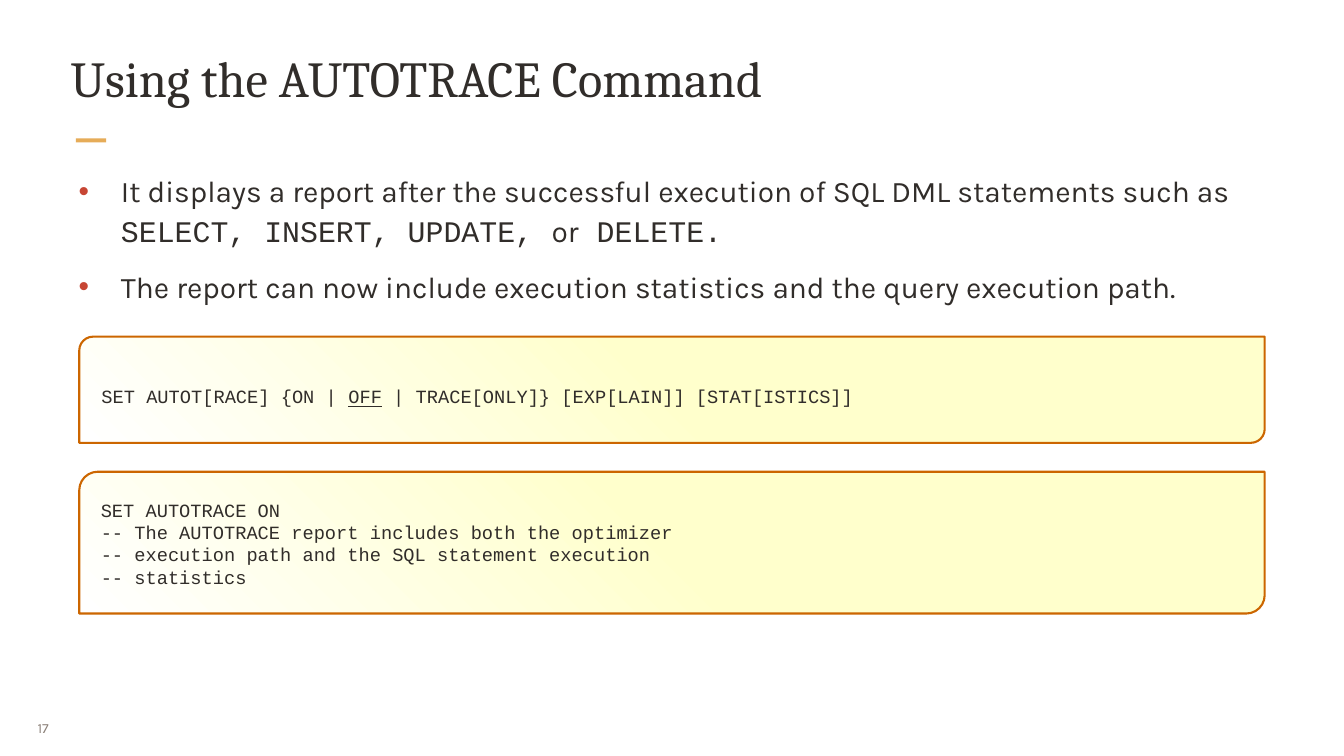
from lxml import etree
from pptx import Presentation
from pptx import util as u
from pptx.dml.color import RGBColor
from pptx.enum import shapes, text
from pptx.oxml import ns

COLORS = {
    "ink": "312D2A", "accent": "E6AC58", "bullet": "C74634", "muted": "8B8078",
    "code_line": "CC6600", "code_fill": "FFFFCC", "white": "FFFFFF",
}
SERIF, SANS, MONO = "Cambria", "Karla", "Courier New"


def rgb(name):
    """Return the named colour."""
    return RGBColor.from_string(COLORS[name])


def add_element(parent, tag, **attributes):
    """Append a drawing element and return it."""
    return etree.SubElement(parent, ns.qn(tag), attributes)


def add_text_box(slide, box, inset, anchor=text.MSO_ANCHOR.TOP):
    """Add an empty wrapping text box and return its frame."""
    frame = slide.shapes.add_textbox(*map(u.Inches, box)).text_frame
    frame.word_wrap = True
    frame.vertical_anchor = anchor
    frame.margin_left = frame.margin_right = u.Inches(inset[0])
    frame.margin_top = frame.margin_bottom = u.Inches(inset[1])
    return frame


def add_paragraph(frame, index):
    """Return the first paragraph of a frame, or a new one after it."""
    return frame.add_paragraph() if index else frame.paragraphs[0]


def add_run(paragraph, words, font_name, size, color="ink", underline=None):
    """Add one formatted run."""
    run = paragraph.add_run()
    run.text = words
    run.font.name = font_name
    run.font.size = u.Pt(size)
    run.font.color.rgb = rgb(color)
    run.font.underline = underline


def add_bullet(paragraph):
    """Give a paragraph a hanging coloured bullet."""
    properties = paragraph._p.get_or_add_pPr()
    properties.set("marL", str(u.Inches(0.75)))
    properties.set("indent", str(u.Inches(-0.63)))
    color = add_element(properties, "a:buClr")
    add_element(color, "a:srgbClr", val=COLORS["bullet"])
    add_element(properties, "a:buFont", typeface="Arial")
    add_element(properties, "a:buChar", char="•")


def fill_gradient(shape, stops, angle):
    """Fill a shape with a linear gradient of (percent, colour) stops."""
    shape.fill.gradient()
    gradient = shape._element.spPr.find(ns.qn("a:gradFill"))
    for child in list(gradient):
        gradient.remove(child)
    stop_list = add_element(gradient, "a:gsLst")
    for percent, color in stops:
        stop = add_element(stop_list, "a:gs", pos=str(percent * 1000))
        add_element(stop, "a:srgbClr", val=COLORS[color])
    add_element(gradient, "a:lin", ang=str(angle * 60000), scaled="0")


def add_title(slide, box, words):
    """Add the title and the short accent bar beneath it."""
    left, top, width, height = box
    frame = add_text_box(slide, box, (0.03, 0.03))
    add_run(frame.paragraphs[0], words, SERIF, 54)
    bar = slide.shapes.add_shape(
        shapes.MSO_SHAPE.RECTANGLE, u.Inches(left + 0.11),
        u.Inches(top + height + 0.11), u.Inches(0.45), u.Inches(0.06))
    bar.shadow.inherit = False
    bar.fill.solid()
    bar.fill.fore_color.rgb = rgb("accent")
    bar.line.fill.background()


def add_bullets(slide, box, items):
    """Add bulleted paragraphs made of (words, font) runs."""
    frame = add_text_box(slide, box, (0.03, 0.03))
    for index, runs in enumerate(items):
        paragraph = add_paragraph(frame, index)
        paragraph.line_spacing = 1.1
        paragraph.space_before = u.Pt(18 if index else 0)
        add_bullet(paragraph)
        for words, font_name in runs:
            add_run(paragraph, words, font_name, 32)


def add_code_panel(slide, box):
    """Add a gradient panel with two rounded corners."""
    panel = slide.shapes.add_shape(
        shapes.MSO_SHAPE.ROUND_2_DIAG_RECTANGLE, *map(u.Inches, box))
    panel.adjustments[0] = 0.13
    panel.adjustments[1] = 0
    panel.shadow.inherit = False
    fill_gradient(panel, [(0, "code_fill"), (50, "code_fill"), (100, "white")], 135)
    panel.line.color.rgb = rgb("code_line")
    panel.line.width = u.Pt(2.25)


def add_code(slide, box, lines):
    """Add code lines made of (words, underlined) runs."""
    frame = add_text_box(slide, box, (0.15, 0.01), text.MSO_ANCHOR.MIDDLE)
    for index, runs in enumerate(lines):
        paragraph = add_paragraph(frame, index)
        for words, underlined in runs:
            add_run(paragraph, words, MONO, 20, underline=underlined)


def add_page_number(slide, box, number):
    """Add the page number."""
    frame = add_text_box(slide, box, (0.13, 0.07), text.MSO_ANCHOR.MIDDLE)
    add_run(frame.paragraphs[0], number, SANS, 15, "muted")


def main():
    """Build and save the presentation."""
    presentation = Presentation()
    presentation.slide_width = u.Inches(20)
    presentation.slide_height = u.Inches(11.25)
    slide = presentation.slides.add_slide(presentation.slide_layouts[6])

    add_page_number(slide, (0.43, 10.54, 0.65, 0.58), "17")
    add_code_panel(slide, (1.18, 5.01, 17.64, 1.58))
    add_code_panel(slide, (1.18, 7.02, 17.64, 2.11))
    add_title(slide, (1.02, 0.67, 17.96, 1.28), "Using the AUTOTRACE Command")
    add_bullets(slide, (1.02, 2.49, 17.96, 2.85), [
        [("It displays a report after the successful execution of SQL DML "
          "statements such as ", SANS),
         ("SELECT, INSERT, UPDATE, ", MONO), ("or", SANS), (" DELETE.", MONO)],
        [("The report can now include execution statistics and the query "
          "execution path.", SANS)],
    ])
    add_code(slide, (1.36, 5.14, 17.24, 1.5), [
        [("SET AUTOT[RACE] {ON | ", None), ("OFF", True),
         (" | TRACE[ONLY]} [EXP[LAIN]] [STAT[ISTICS]]", None)],
    ])
    comments = [
        "SET AUTOTRACE ON",
        "-- The AUTOTRACE report includes both the optimizer",
        "-- execution path and the SQL statement execution",
        "-- statistics",
    ]
    add_code(slide, (1.35, 6.96, 17.24, 2.25), [[(line, None)] for line in comments])
    presentation.save("out.pptx")


if __name__ == "__main__":
    main()
